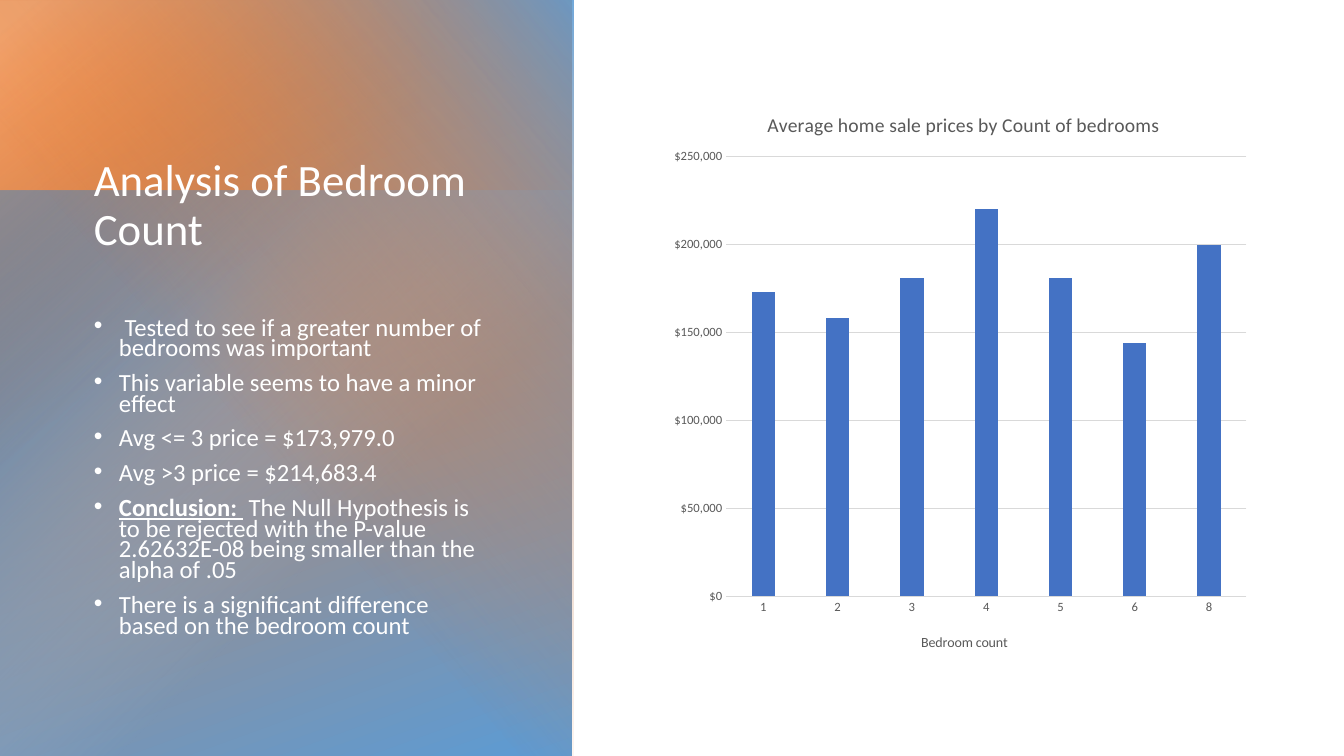
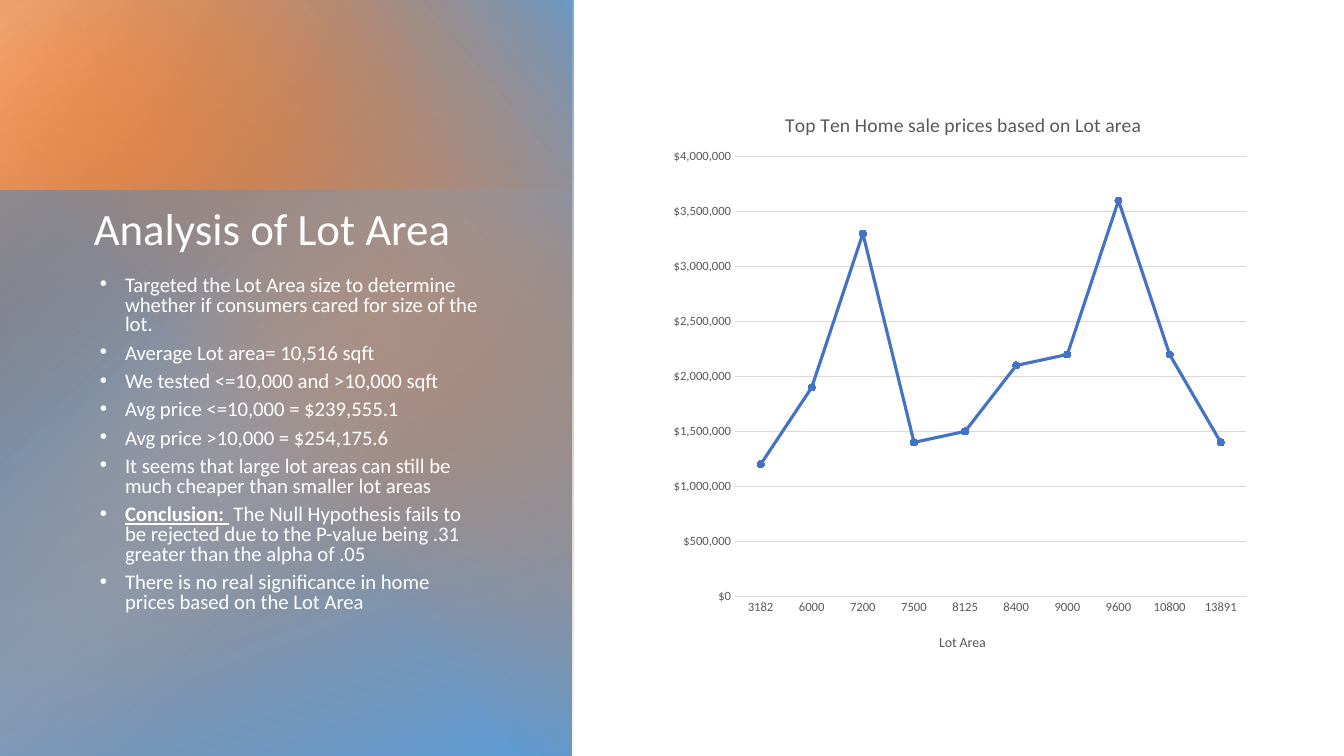
"""Build two slides on home sale prices: bedroom count and lot area."""
import pptx
import pptx.chart.data
import pptx.dml.color
import pptx.enum.chart
import pptx.enum.text
import pptx.enum.shapes
import pptx.oxml
import pptx.oxml.ns
import pptx.util
from pptx.util import Inches, Pt

FONT = "Calibri"
WHITE, GREY, RULE, BLUE = "FFFFFF", "595959", "D9D9D9", "4472C4"
CHART = pptx.enum.chart.XL_CHART_TYPE
LEAD = "Conclusion: "

LINEAR = '<a:lin ang="{}" scaled="0"/>'
CORNER = '<a:path path="circle"><a:fillToRect r="100000" b="100000"/></a:path><a:tileRect l="-100000" t="-100000"/>'
PANELS = [
    ((-0.02, 0, 5.69, 7.53), 0, [(7, "ED7D31", 100), (100, "5B9BD5", 100)], LINEAR.format(70 * 60000)),
    ((-0.02, 1.89, 5.69, 5.63), 180, [(0, "2E75B6", 100), (60, "9DC3E6", 0)], CORNER),
    ((-0.02, 0.01, 4.19, 7.52), 0, [(3, "F4B183", 78), (42, "ED7D31", 0)], LINEAR.format(50 * 60000)),
    ((-0.92, 0.91, 7.52, 5.69), 270, [(0, "5B9BD5", 86), (57, "ED7D31", 0)], LINEAR.format(230 * 60000)),
]

SLIDES = [
    {
        "title": "Analysis of Bedroom Count",
        "bullets": [
            " Tested to see if a greater number of bedrooms was important",
            "This variable seems to have a minor effect",
            "Avg <= 3 price = $173,979.0",
            "Avg >3 price = $214,683.4",
            LEAD + " The Null Hypothesis is to be rejected with the P-value 2.62632E-08 "
            "being smaller than the alpha of .05",
            "There is a significant difference based on the bedroom count",
        ],
        "top": 3.12, "size": 17.6, "spacing": 0.7, "before": 10, "after": 0, "margin": 0.25,
        "type": CHART.COLUMN_CLUSTERED,
        "chart_title": "Average home sale prices by Count of bedrooms",
        "axis_title": "Bedroom count",
        "categories": ["1", "2", "3", "4", "5", "6", "8"],
        "values": [173000, 158000, 181000, 220000, 181000, 144000, 200000],
        "top_value": 250000, "step": 50000,
        "title_x": 0.17, "axis_title_x": 0.43, "plot_x": 0.107,
    },
    {
        "title": "Analysis of Lot Area",
        "bullets": [
            "Targeted the Lot Area size to determine whether if consumers cared for size of the lot.",
            "Average Lot area= 10,516 sqft",
            "We tested <=10,000 and >10,000 sqft",
            "Avg price <=10,000 = $239,555.1",
            "Avg price >10,000 = $254,175.6",
            "It seems that large lot areas can still be much cheaper than smaller lot areas",
            LEAD + " The Null Hypothesis fails to be rejected due to the P-value being .31 "
            "greater than the alpha of .05",
            "There is no real significance in home prices based on the Lot Area",
        ],
        "top": 2.69, "size": 14.8, "spacing": 0.8, "before": 0, "after": 6, "margin": 0.31,
        "type": CHART.LINE_MARKERS_STACKED,
        "chart_title": "Top Ten Home sale prices based on Lot area",
        "axis_title": "Lot Area",
        "categories": ["3182", "6000", "7200", "7500", "8125", "8400", "9000", "9600", "10800", "13891"],
        "values": [1200000, 1900000, 3300000, 1400000, 1500000, 2100000, 2200000, 3600000, 2200000, 1400000],
        "top_value": 4000000, "step": 500000,
        "title_x": 0.2, "axis_title_x": 0.46, "plot_x": 0.122,
    },
]


def style(font, size, color):
    """Set typeface, size and colour of a font."""
    font.name = FONT
    font.size = Pt(size)
    font.color.rgb = pptx.dml.color.RGBColor.from_string(color)


def place(element, index, **fractions):
    """Give a chart part a fixed position in fractions of the chart."""
    for old in element.findall(pptx.oxml.ns.qn("c:layout")):
        element.remove(old)
    target = '<c:layoutTarget val="inner"/>' if "w" in fractions else ""
    modes = "".join(f'<c:{key}Mode val="edge"/>' for key in "xy")
    sizes = "".join(f'<c:{key} val="{value}"/>' for key, value in fractions.items())
    element.insert(index, pptx.oxml.parse_xml(
        f'<c:layout {pptx.oxml.ns.nsdecls("c")}><c:manualLayout>{target}{modes}{sizes}'
        "</c:manualLayout></c:layout>"))


deck = pptx.Presentation()
deck.slide_width, deck.slide_height = Inches(13.33), Inches(7.5)

for content in SLIDES:
    page = deck.slides.add_slide(deck.slide_layouts[1])

    group = page.shapes.add_group_shape()
    for bounds, rotation, stops, direction in PANELS:
        panel = group.shapes.add_shape(
            pptx.enum.shapes.MSO_SHAPE.RECTANGLE, *[Inches(length) for length in bounds])
        panel.rotation = rotation
        panel.shadow.inherit = False
        panel.line.fill.background()
        panel.fill.background()
        stop_xml = "".join(
            f'<a:gs pos="{position * 1000}"><a:srgbClr val="{color}">'
            f'<a:alpha val="{alpha * 1000}"/></a:srgbClr></a:gs>'
            for position, color, alpha in stops)
        gradient = pptx.oxml.parse_xml(
            f'<a:gradFill {pptx.oxml.ns.nsdecls("a")} rotWithShape="1">'
            f"<a:gsLst>{stop_xml}</a:gsLst>{direction}</a:gradFill>")
        properties = panel.element.spPr
        properties.replace(properties.find(pptx.oxml.ns.qn("a:noFill")), gradient)
    page.shapes.element.insert(2, group.element)

    title = page.shapes.title
    title.left, title.top, title.width, title.height = [Inches(n) for n in (0.83, 0.81, 4.05, 1.77)]
    title.text_frame.text = content["title"]
    title.text_frame.auto_size = pptx.enum.text.MSO_AUTO_SIZE.NONE
    title.text_frame.vertical_anchor = pptx.enum.text.MSO_ANCHOR.BOTTOM
    para = title.text_frame.paragraphs[0]
    para.alignment = pptx.enum.text.PP_ALIGN.LEFT
    para.line_spacing = 0.9
    style(para.runs[0].font, 32, WHITE)

    body = page.placeholders[1]
    body.left, body.top = Inches(0.83), Inches(content["top"])
    body.width, body.height = Inches(4.05), Inches(6.54 - content["top"])
    body.text_frame.text = "\n".join(content["bullets"])
    body.text_frame.auto_size = pptx.enum.text.MSO_AUTO_SIZE.NONE
    for number, para in enumerate(body.text_frame.paragraphs):
        para.line_spacing = content["spacing"]
        para.space_before = Pt(content["before"] if number else 0)
        para.space_after = Pt(content["after"])
        indents = para._p.get_or_add_pPr()
        indents.set("marL", str(Inches(content["margin"])))
        indents.set("indent", str(Inches(-0.25)))
        if para.text.startswith(LEAD):
            rest = para.text[len(LEAD):]
            para.text = LEAD
            para.runs[0].font.bold = para.runs[0].font.underline = True
            para.add_run().text = rest
        for span in para.runs:
            style(span.font, content["size"], WHITE)

    data = pptx.chart.data.CategoryChartData(number_format='"$"#,##0')
    data.categories = content["categories"]
    data.add_series("Series 1", content["values"])
    chart = page.shapes.add_chart(
        content["type"], *[Inches(n) for n in (6.57, 0.86, 5.91, 5.78)], data).chart
    style(chart.font, 10, GREY)
    chart.has_legend = False
    chart.has_title = True
    category_axis, value_axis = chart.category_axis, chart.value_axis
    category_axis.has_title = True
    for heading, text, size, x, y in [
        (chart.chart_title, content["chart_title"], 14, content["title_x"], 0.036),
        (category_axis.axis_title, content["axis_title"], 10, content["axis_title_x"], 0.934),
    ]:
        heading.text_frame.text = text
        span = heading.text_frame.paragraphs[0].runs[0]
        style(span.font, size, GREY)
        span.font.bold = False
        place(heading._element, 1, x=x, y=y)
    place(chart._chartSpace.chart.plotArea, 0,
          x=content["plot_x"], y=0.12, w=round(0.98 - content["plot_x"], 3), h=0.755)

    for axis in (category_axis, value_axis):
        axis.major_tick_mark = axis.minor_tick_mark = pptx.enum.chart.XL_TICK_MARK.NONE
        style(axis.tick_labels.font, 9, GREY)
    value_axis.minimum_scale, value_axis.maximum_scale = 0, content["top_value"]
    value_axis.major_unit = content["step"]
    value_axis.tick_labels.number_format = '"$"#,##0'
    value_axis.tick_labels.number_format_is_linked = False
    value_axis.format.line.fill.background()
    for line in (category_axis.format.line, value_axis.major_gridlines.format.line):
        line.color.rgb = pptx.dml.color.RGBColor.from_string(RULE)
        line.width = Pt(0.75)

    plot = chart.plots[0]
    plot.vary_by_categories = False
    series = plot.series[0]
    fills = [series.format.fill]
    if content["type"] == CHART.COLUMN_CLUSTERED:
        plot.gap_width, plot.overlap = 219, -27
    else:
        series.smooth = False
        series.format.line.width = Pt(2.25)
        series.marker.style = pptx.enum.chart.XL_MARKER_STYLE.CIRCLE
        series.marker.size = 5
        fills = [series.format.line.fill, series.marker.format.fill, series.marker.format.line.fill]
    for fill in fills:
        fill.solid()
        fill.fore_color.rgb = pptx.dml.color.RGBColor.from_string(BLUE)

deck.save("out.pptx")
